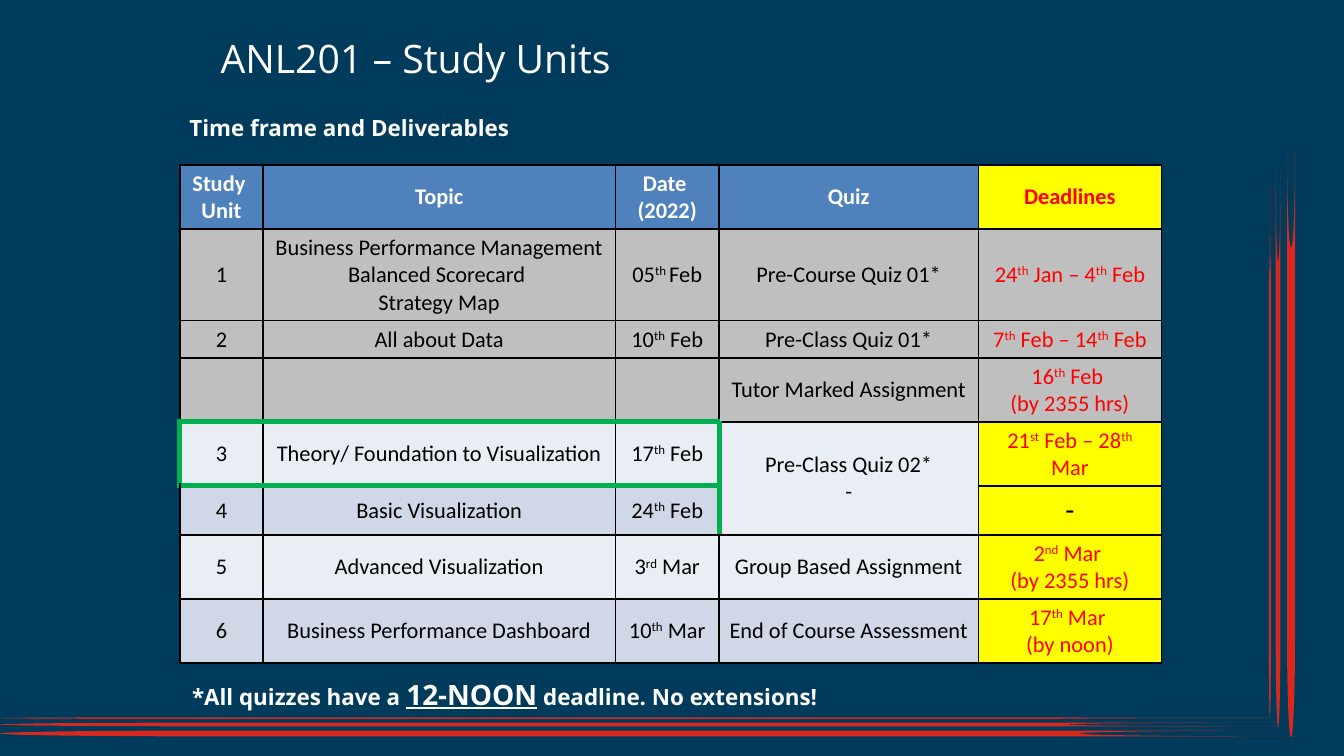
from dataclasses import dataclass
from lxml import etree
from pptx import Presentation, util as u
from pptx.dml.color import RGBColor
from pptx.enum import shapes, text
from pptx.oxml.ns import qn

Cm, Pt = u.Cm, u.Pt


@dataclass(frozen=True)
class Theme:
    navy: str = "003B5C"
    stripe: str = "DA291C"
    white: str = "FFFFFF"
    black: str = "000000"
    red: str = "FF0000"
    header: str = "4F81BD"
    due: str = "FFFF00"
    past: str = "BFBFBF"
    light: str = "E9EDF4"
    blue: str = "D0D8E8"
    green: str = "00B050"
    heading_font: str = "Open Sans"
    table_font: str = "Calibri"
    title_size: int = 21
    size: int = 12
    noon_size: int = 15
    dash_size: int = 16


T = Theme()

TITLE = "ANL201 – Study Units"
SUBTITLE = "Time frame and Deliverables"
FOOTNOTE = ["*All quizzes have a ", "12-NOON", " deadline. No extensions!"]

# Text between carets is superscript; a newline starts a paragraph.
HEADER = ["Study \nUnit", "Topic", "Date \n(2022)", "Quiz", "Deadlines"]
UNITS = [
    ["1", "Business Performance Management\nBalanced Scorecard \nStrategy Map",
     "05^th ^Feb", "Pre-Course Quiz 01*", "24^th^ Jan – 4^th^ Feb"],
    ["2", "All about Data", "10^th^ Feb", "Pre-Class Quiz 01*",
     "7^th^ Feb – 14^th^ Feb"],
    ["", "", "", "Tutor Marked Assignment", "16^th^ Feb \n(by 2355 hrs)"],
    ["3", "Theory/ Foundation to Visualization", "17^th^ Feb",
     "Pre-Class Quiz 02*\n-", "21^st^ Feb – 28^th^ Mar"],
    ["4", "Basic Visualization", "24^th^ Feb", "", "-"],
    ["5", "Advanced Visualization", "3^rd^ Mar", "Group Based Assignment",
     "2^nd^ Mar \n(by 2355 hrs)"],
    ["6", "Business Performance Dashboard", "10^th^ Mar",
     "End of Course Assessment", "17^th^ Mar \n(by noon)"],
]
COLS = [1.57, 6.66, 1.96, 4.9, 3.46]
ROWS = [1.19, 1.73, 0.71, 1.19, 0.71, 0.71, 1.19, 1.19]
PAST_ROWS = (1, 2, 3)
CURRENT_ROW, CURRENT_COLS = 4, (0, 1, 2)
DUE_COL = 4

# left, top, length, thickness, rotation
STRIPES = [
    (0, 13.56, 24, 0.03, 0), (0, 13.66, 24.2, 0.07, 0),
    (0, 13.81, 24.48, 0.11, 0),
    (18.97, 8.53, 10.06, 0.04, 270), (18.87, 8.41, 10.57, 0.09, 270),
    (18.85, 8.31, 11.1, 0.15, 270),
]


def rgb(value):
    return RGBColor.from_string(value)


def style(r, size, color, font, bold=False):
    f = r.font
    f.size, f.name, f.bold = Pt(size), font, bold
    f.color.rgb = rgb(color)


def set_margins(box):
    box.margin_left = box.margin_right = Cm(0.18)
    box.margin_top, box.margin_bottom = Cm(0.1), Cm(0.09)


def add_text(s, left, top, height, parts, size, bold, anchor):
    tf = s.shapes.add_textbox(Cm(left), Cm(top), Cm(15.72), Cm(height)).text_frame
    tf.word_wrap, tf.vertical_anchor = True, anchor
    set_margins(tf)
    p = tf.paragraphs[0]
    for part in parts:
        r = p.add_run()
        r.text = part
        style(r, size, T.white, T.heading_font, bold)
    return p


def add_stripes(s):
    for left, top, length, thickness, rotation in STRIPES:
        sp = s.shapes.add_shape(shapes.MSO_SHAPE.FLOWCHART_STORED_DATA,
                                Cm(left), Cm(top), Cm(length), Cm(thickness))
        sp.rotation = rotation
        sp.shadow.inherit = False
        sp.fill.solid()
        sp.fill.fore_color.rgb = rgb(T.stripe)
        sp.line.fill.background()


def edge_is_green(row, col, edge):
    """Tell whether a cell edge lies on the frame around the current unit."""
    if col in CURRENT_COLS:
        return ((row, edge) in {(CURRENT_ROW - 1, "B"), (CURRENT_ROW, "T"),
                                (CURRENT_ROW, "B"), (CURRENT_ROW + 1, "T")}
                or (row, col, edge) in {(CURRENT_ROW, CURRENT_COLS[0], "L"),
                                        (CURRENT_ROW, CURRENT_COLS[-1], "R")})
    return (row, col, edge) == (CURRENT_ROW, CURRENT_COLS[-1] + 1, "L")


def set_borders(cell, row, col):
    tcPr = cell._tc.get_or_add_tcPr()
    for i, edge in enumerate("LRTB"):
        color, width = (T.green, 3) if edge_is_green(row, col, edge) else (T.black, 1)
        ln = etree.Element(qn(f"a:ln{edge}"), w=str(Pt(width)))
        fill = etree.SubElement(ln, qn("a:solidFill"))
        etree.SubElement(fill, qn("a:srgbClr"), val=color)
        tcPr.insert(i, ln)


def cell_fill(row, col):
    if row in PAST_ROWS:
        return T.past
    if col == DUE_COL:
        return T.due
    if row == 0:
        return T.header
    return T.blue if row % 2 else T.light


def text_color(row, col, content):
    if col == DUE_COL and content != "-":
        return T.red
    return T.white if row == 0 else T.black


def fill_cell(cell, row, col, content):
    cell.fill.solid()
    cell.fill.fore_color.rgb = rgb(cell_fill(row, col))
    set_borders(cell, row, col)
    lone_dash = content == "-"
    if not lone_dash:
        set_margins(cell)
    cell.vertical_anchor = text.MSO_ANCHOR.MIDDLE
    size = T.dash_size if lone_dash else T.size
    for i, line in enumerate(content.split("\n")):
        p = cell.text_frame.add_paragraph() if i else cell.text_frame.paragraphs[0]
        p.alignment = text.PP_ALIGN.CENTER
        if not line:
            p.font.size = Pt(size)
            continue
        for n, part in enumerate(line.split("^")):
            if not part:
                continue
            r = p.add_run()
            r.text = part
            style(r, size, text_color(row, col, content), T.table_font, row == 0)
            if n % 2:
                r._r.get_or_add_rPr().set("baseline", "30000")


def add_schedule(s):
    data = [HEADER] + UNITS
    tbl = s.shapes.add_table(len(ROWS), len(COLS), Cm(3.4), Cm(3.12),
                             Cm(sum(COLS)), Cm(sum(ROWS))).table
    for column, width in zip(tbl.columns, COLS):
        column.width = Cm(width)
    for table_row, height in zip(tbl.rows, ROWS):
        table_row.height = Cm(height)
    for row, values in enumerate(data):
        for col, content in enumerate(values):
            fill_cell(tbl.cell(row, col), row, col, content)
    tbl.cell(CURRENT_ROW, 3).merge(tbl.cell(CURRENT_ROW + 1, 3))


def main():
    prs = Presentation()
    prs.slide_width, prs.slide_height = Cm(25.4), Cm(14.29)
    s = prs.slides.add_slide(prs.slide_layouts[6])
    s.background.fill.solid()
    s.background.fill.fore_color.rgb = rgb(T.navy)
    add_stripes(s)
    middle, top = text.MSO_ANCHOR.MIDDLE, text.MSO_ANCHOR.TOP
    add_text(s, 3.99, 0.46, 1.27, [TITLE], T.title_size, False, middle)
    add_text(s, 3.4, 2.08, 0.64, [SUBTITLE], T.size, True, middle)
    add_schedule(s)
    p = add_text(s, 3.45, 12.7, 0.64, FOOTNOTE, T.size, True, top)
    noon = p.runs[1].font
    noon.size, noon.underline = Pt(T.noon_size), True
    prs.save("out.pptx")


if __name__ == "__main__":
    main()
